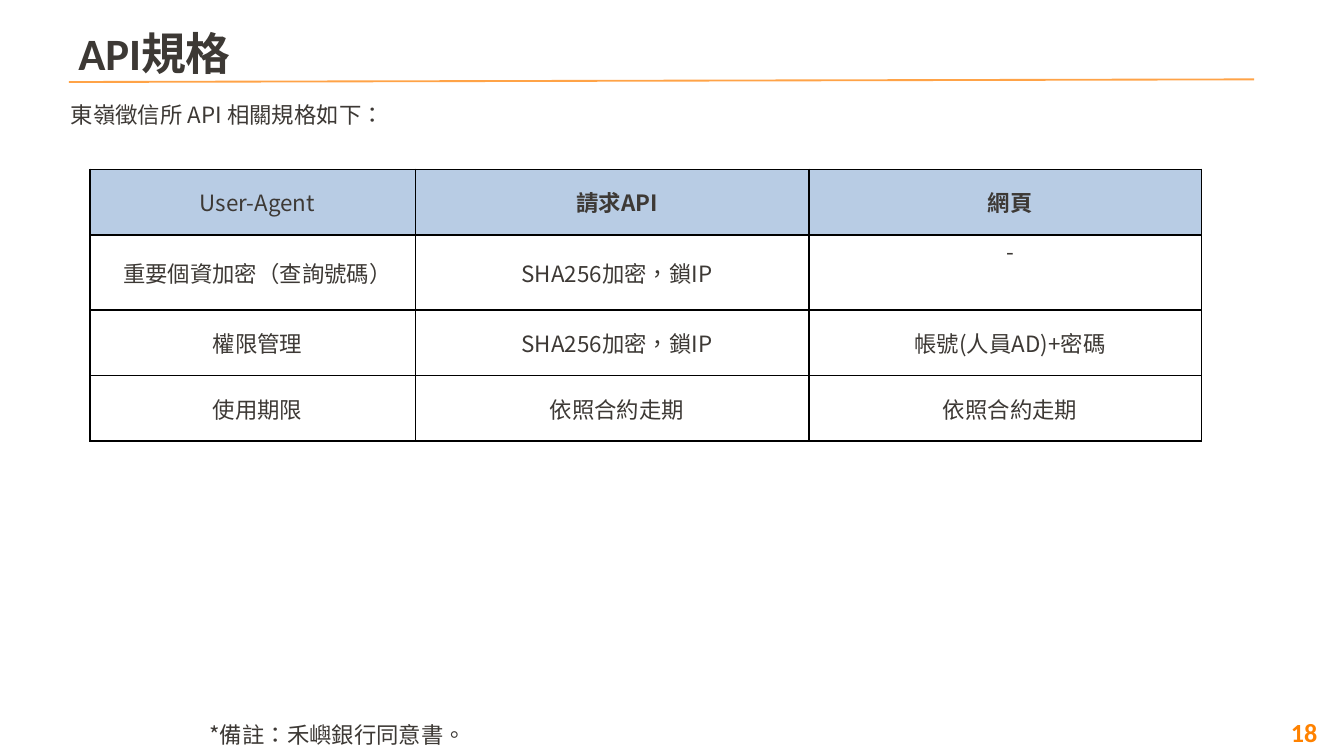
from lxml.etree import SubElement
from pptx import Presentation
from pptx.dml.color import RGBColor
from pptx.enum.shapes import MSO_CONNECTOR
from pptx.enum.text import MSO_ANCHOR as Anchor, PP_ALIGN as Align
from pptx.oxml.ns import qn
from pptx.util import Cm, Pt

INK = RGBColor(0x3D, 0x39, 0x35)
ORANGE = RGBColor(0xFF, 0x82, 0x00)
RULE_ORANGE = RGBColor(0xFF, 0xA3, 0x47)
HEADER_BLUE = RGBColor(0xB8, 0xCC, 0xE4)
BLACK = RGBColor(0x00, 0x00, 0x00)

HEADING_FONT = "Calibri"
BODY_FONT = "Noto Sans CJK SC"
LANGUAGE = "zh-TW"

COLUMN_WIDTHS = (6.15, 7.44, 7.42)
ROW_HEIGHTS = (1.24, 1.42, 1.24, 1.24)
SPACE_BEFORE = (5, 5.3, 4.8, 4.8)
SPECIFICATIONS = (
    ("User-Agent", "請求API", "網頁"),
    ("重要個資加密（查詢號碼）", "SHA256加密，鎖IP", "-"),
    ("權限管理", "SHA256加密，鎖IP", "帳號(人員AD)+密碼"),
    ("使用期限", "依照合約走期", "依照合約走期"),
)


class SlideBuilder:
    def __init__(self, slide):
        self.slide = slide

    def style(self, paragraph, size=12, font=BODY_FONT, color=INK, bold=False):
        for run in paragraph.runs:
            run.font.size = Pt(size)
            run.font.name = font
            run.font.bold = bold
            run.font.color.rgb = color
            properties = run._r.get_or_add_rPr()
            properties.set("lang", LANGUAGE)
            SubElement(properties, qn("a:ea"), typeface=BODY_FONT)

    def text(self, text, left, top, width, height, align=Align.LEFT,
             anchor=Anchor.TOP, insets=(0.25, 0.13), **font):
        box = self.slide.shapes.add_textbox(Cm(left), Cm(top), Cm(width), Cm(height))
        frame = box.text_frame
        frame.word_wrap = True
        frame.vertical_anchor = anchor
        frame.margin_left = frame.margin_right = Cm(insets[0])
        frame.margin_top = frame.margin_bottom = Cm(insets[1])
        frame.text = text
        paragraph = frame.paragraphs[0]
        paragraph.alignment = align
        self.style(paragraph, **font)

    def line(self, left, top, right, bottom, color, width=1):
        connector = self.slide.shapes.add_connector(
            MSO_CONNECTOR.STRAIGHT, Cm(left), Cm(top), Cm(right), Cm(bottom))
        connector.line.color.rgb = color
        connector.line.width = Pt(width)
        SubElement(connector._element.spPr, qn("a:effectLst"))

    def borders(self, cell, color=BLACK, width=1):
        properties = cell._tc.get_or_add_tcPr()
        for side in ("lnL", "lnR", "lnT", "lnB"):
            border = SubElement(properties, qn(f"a:{side}"), w=str(Pt(width)))
            fill = SubElement(border, qn("a:solidFill"))
            SubElement(fill, qn("a:srgbClr"), val=str(color))

    def cell(self, cell, text, space_before, header, bold):
        cell.margin_left = cell.margin_right = 0
        cell.margin_top = cell.margin_bottom = 0
        cell.vertical_anchor = Anchor.TOP if text == "-" else Anchor.MIDDLE
        self.borders(cell)
        if header:
            cell.fill.solid()
            cell.fill.fore_color.rgb = HEADER_BLUE
        else:
            cell.fill.background()
        cell.text_frame.text = text
        paragraph = cell.text_frame.paragraphs[0]
        paragraph.alignment = Align.CENTER
        paragraph.space_before = Pt(space_before)
        paragraph._p.get_or_add_pPr().set("marL", str(Cm(0.18)))
        self.style(paragraph, bold=bold)

    def table(self, rows, left, top):
        table = self.slide.shapes.add_table(
            len(rows), len(COLUMN_WIDTHS), Cm(left), Cm(top),
            Cm(sum(COLUMN_WIDTHS)), Cm(sum(ROW_HEIGHTS))).table
        table.first_row = table.horz_banding = False
        for column, width in zip(table.columns, COLUMN_WIDTHS):
            column.width = Cm(width)
        for row, height in zip(table.rows, ROW_HEIGHTS):
            row.height = Cm(height)
        for i, texts in enumerate(rows):
            for j, text in enumerate(texts):
                header = i == 0
                self.cell(table.cell(i, j), text, SPACE_BEFORE[i], header,
                          bold=header and j > 0)


def main():
    presentation = Presentation()
    presentation.slide_width, presentation.slide_height = Cm(25.4), Cm(14.29)
    builder = SlideBuilder(presentation.slides.add_slide(presentation.slide_layouts[6]))

    builder.text("18", 23.9, 13.28, 1.5, 1.12, Align.CENTER, Anchor.MIDDLE,
                 insets=(0.1, 0.1), size=14, font=HEADING_FONT, color=ORANGE, bold=True)
    builder.text("API規格", 1.3, 0.38, 23.19, 1.17, insets=(0.18, 0.1),
                 size=24, font=HEADING_FONT, bold=True)
    builder.line(1.3, 1.55, 23.7, 1.5, RULE_ORANGE)
    builder.text("*備註：禾嶼銀行同意書。", 3.71, 13.51, 14.81, 0.76)
    builder.table(SPECIFICATIONS, 1.7, 3.2)
    builder.text("東嶺徵信所 API 相關規格如下：", 1.09, 1.78, 12.4, 1.55)

    presentation.save("out.pptx")


if __name__ == "__main__":
    main()
